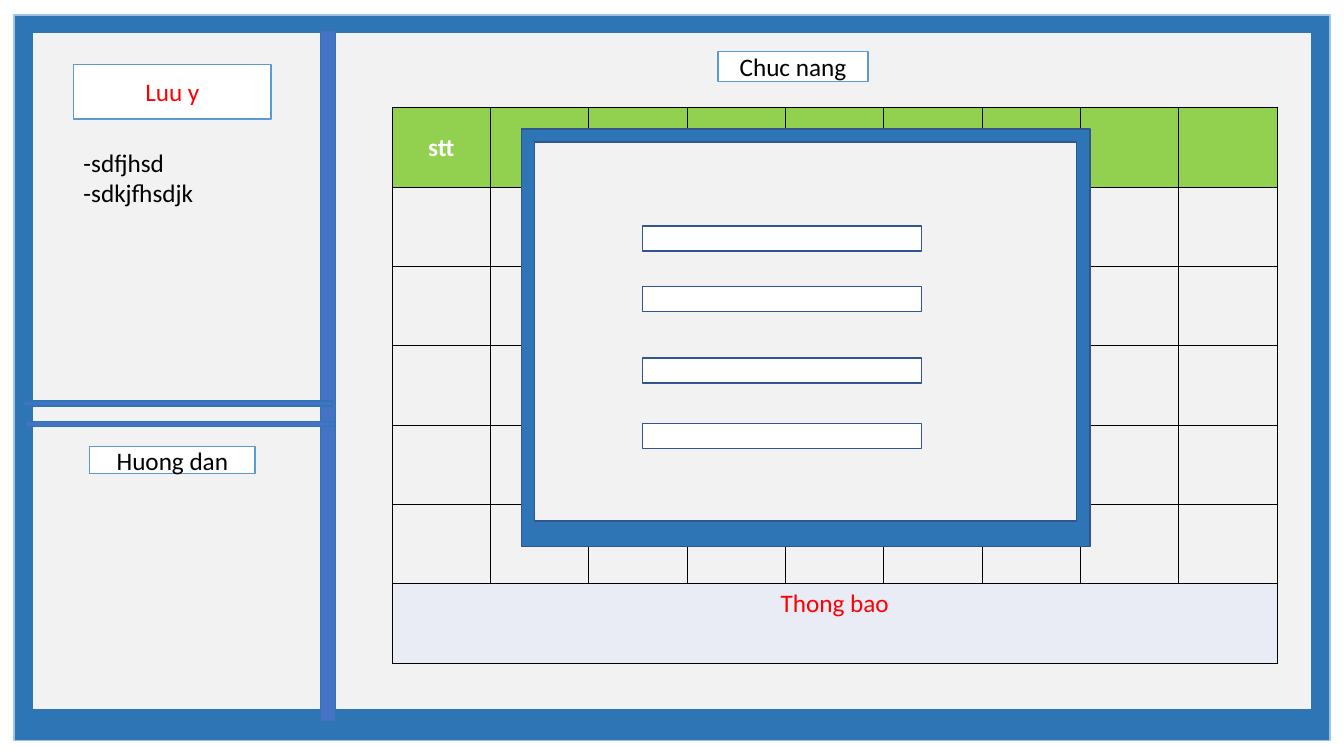
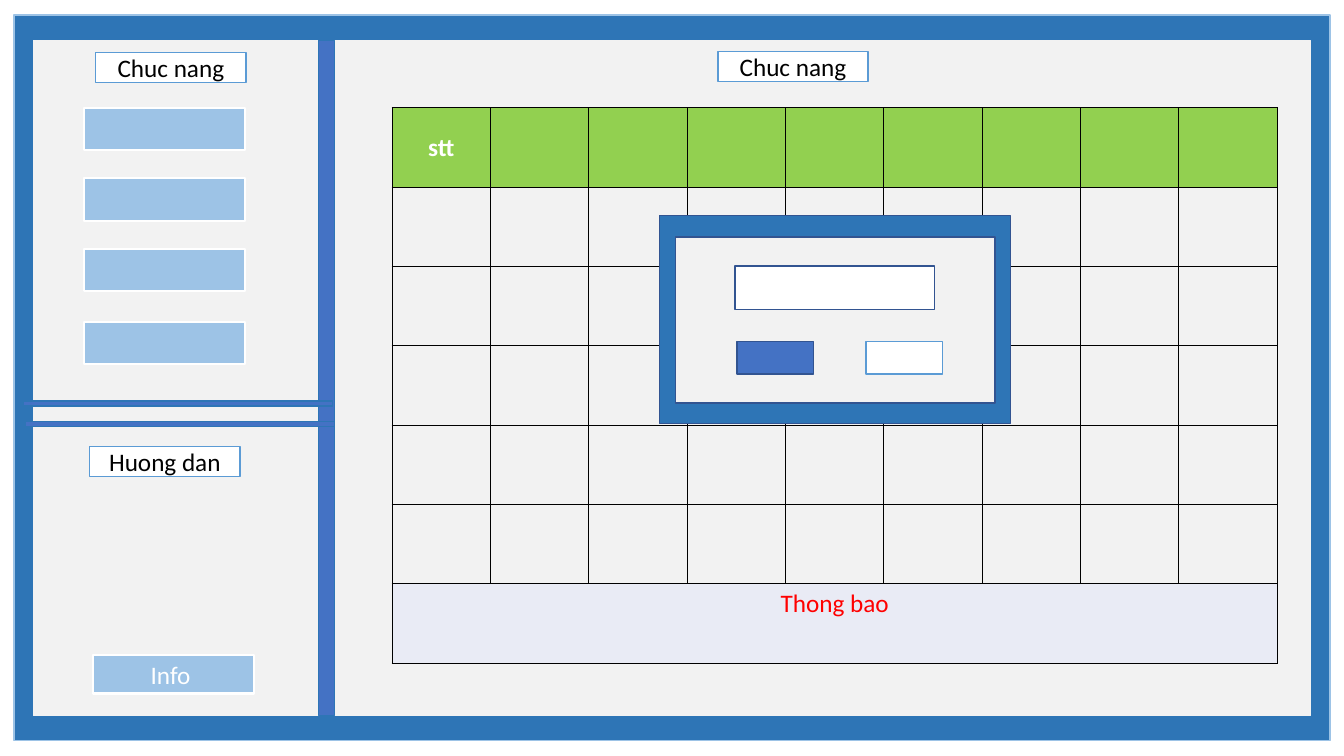
from lxml.etree import SubElement
from pptx import Presentation
from pptx.dml.color import RGBColor
from pptx.enum.shapes import MSO_SHAPE
from pptx.enum.text import MSO_ANCHOR, MSO_AUTO_SIZE, PP_ALIGN
from pptx.oxml.ns import qn
from pptx.util import Inches, Pt

FRAME, PANEL, ACCENT = "2E75B6", "F2F2F2", "4472C4"
OUTLINE, EDGE, SKY = "5B9BD5", "325491", "9DC3E6"
WHITE, BLACK, RED = "FFFFFF", "000000", "FF0000"
HEADER, NOTICE = "92D050", "E9EBF5"
COLUMNS, ROWS = 9, 7


def color(code):
    """Turn a hex string into a colour."""
    return RGBColor.from_string(code)


def write(frame, text, ink=BLACK, align=PP_ALIGN.CENTER, anchor=MSO_ANCHOR.MIDDLE, bold=False):
    """Fill a text frame, one paragraph per line of text."""
    frame.word_wrap = True
    frame.vertical_anchor = anchor
    frame.text = text
    for para in frame.paragraphs:
        para.alignment = align
        for span in para.runs:
            font = span.font
            font.name, font.size, font.bold = "Calibri", Pt(18), bold
            font.color.rgb = color(ink)


def outline_cell(cell):
    """Draw a thin black border on all four sides of a cell."""
    properties = cell._tc.get_or_add_tcPr()
    for index, side in enumerate(("lnL", "lnR", "lnT", "lnB")):
        line = SubElement(properties, qn(f"a:{side}"), w=str(Pt(1)))
        fill = SubElement(line, qn("a:solidFill"))
        SubElement(fill, qn("a:srgbClr"), val=BLACK)
        properties.insert(index, line)


class Mockup:
    """Holds the deck, the current page and the elements of the screen."""

    def __init__(self):
        """Start a widescreen deck."""
        self.deck = Presentation()
        self.deck.slide_width, self.deck.slide_height = Inches(13.33), Inches(7.5)
        self.page = None

    def paint(self, box, fill, line, weight=1):
        """Give a box its fill and outline."""
        box.fill.solid()
        box.fill.fore_color.rgb = color(fill)
        box.line.color.rgb = color(line)
        box.line.width = Pt(weight)

    def box(self, left, top, width, height, fill=WHITE, line=EDGE, weight=1):
        """Add a plain rectangle."""
        box = self.page.shapes.add_shape(
            MSO_SHAPE.RECTANGLE, Inches(left), Inches(top), Inches(width), Inches(height))
        box.shadow.inherit = False
        self.paint(box, fill, line, weight)
        return box

    def label(self, text, left, top, width, height, ink=BLACK):
        """Add a white box with a centred caption."""
        write(self.box(left, top, width, height, line=OUTLINE).text_frame, text, ink=ink)

    def button(self, left, top, height=0.42, text=""):
        """Add a light blue menu button."""
        box = self.box(left, top, 1.6, height, SKY, WHITE, 1.5)
        if text:
            write(box.text_frame, text, ink=WHITE)

    def note(self, text, left, top, width, height):
        """Add plain left-aligned text."""
        box = self.page.shapes.add_textbox(
            Inches(left), Inches(top), Inches(width), Inches(height))
        write(box.text_frame, text, align=PP_ALIGN.LEFT, anchor=MSO_ANCHOR.TOP)

    def dialog(self, outer, inner):
        """Add a dialog window with a thick blue frame."""
        self.box(*outer, fill=FRAME)
        self.box(*inner, fill=PANEL)

    def title(self, text):
        """Format the title placeholder as a label above the table."""
        title = self.page.shapes.title
        title.left, title.top = Inches(7.12), Inches(0.51)
        title.width, title.height = Inches(1.49), Inches(0.3)
        self.paint(title, WHITE, OUTLINE)
        write(title.text_frame, text)
        title.text_frame.auto_size = MSO_AUTO_SIZE.NONE
        self.page.shapes.element.append(title.element)

    def table(self):
        """Add the grid with its header row and merged notice row."""
        table = self.page.shapes.add_table(
            ROWS, COLUMNS, Inches(3.89), Inches(1.07), Inches(8.78), Inches(5.51)).table
        fills = [HEADER] + [PANEL] * (ROWS - 2) + [NOTICE]
        for row, fill in zip(table.rows, fills):
            for cell in row.cells:
                cell.fill.solid()
                cell.fill.fore_color.rgb = color(fill)
                outline_cell(cell)
        heading, notice = table.cell(0, 0), table.cell(ROWS - 1, 0)
        notice.merge(table.cell(ROWS - 1, COLUMNS - 1))
        write(heading.text_frame, "stt", ink=WHITE, bold=True)
        heading.vertical_anchor = MSO_ANCHOR.MIDDLE
        write(notice.text_frame, "Thong bao", ink=RED)
        notice.vertical_anchor = MSO_ANCHOR.TOP

    def screen(self, panel_top, divider):
        """Start a page with the frame, dividers, table and title."""
        self.page = self.deck.slides.add_slide(self.deck.slide_layouts[5])
        self.box(0.14, 0.15, 13.05, 7.2, FRAME, SKY)
        self.box(0.33, panel_top, 12.67, 6.7, PANEL, PANEL)
        for bar in (divider, (0.23, 3.98, 3.07, 0.05), (0.25, 4.18, 3.07, 0.05)):
            self.box(*bar, fill=ACCENT, line=FRAME)
        self.table()
        self.title("Chuc nang")


def form_page(mockup):
    """Build the screen with the entry form."""
    mockup.screen(0.33, (3.18, 0.3, 0.15, 6.86))
    mockup.label("Luu y", 0.73, 0.64, 1.96, 0.54, ink=RED)
    mockup.note("-sdfjhsd\n-sdkjfhsdjk", 0.73, 1.41, 2.06, 1.01)
    mockup.label("Huong dan", 0.89, 4.43, 1.64, 0.27)
    mockup.dialog((5.17, 1.28, 5.64, 4.14), (5.3, 1.41, 5.38, 3.76))
    for top in (2.24, 2.84, 3.55, 4.2):
        mockup.box(6.37, top, 2.77, 0.25)


def menu_page(mockup):
    """Build the screen with the menu and the confirmation dialog."""
    mockup.screen(0.4, (3.16, 0.4, 0.16, 6.7))
    mockup.label("Chuc nang", 0.95, 0.52, 1.49, 0.3)
    for top in (1.07, 1.77, 2.47, 3.19):
        mockup.button(0.83, top)
    mockup.label("Huong dan", 0.89, 4.43, 1.49, 0.3)
    mockup.button(0.92, 6.5, 0.38, "Info ")
    mockup.dialog((6.54, 2.14, 3.48, 2.06), (6.7, 2.35, 3.17, 1.65))
    mockup.box(7.29, 2.64, 1.98, 0.43)
    mockup.box(7.31, 3.39, 0.76, 0.32, fill=ACCENT)
    mockup.box(8.59, 3.39, 0.76, 0.32, line=OUTLINE)


def main():
    """Build both screens and save the deck."""
    mockup = Mockup()
    form_page(mockup)
    menu_page(mockup)
    mockup.deck.save("out.pptx")


if __name__ == "__main__":
    main()
